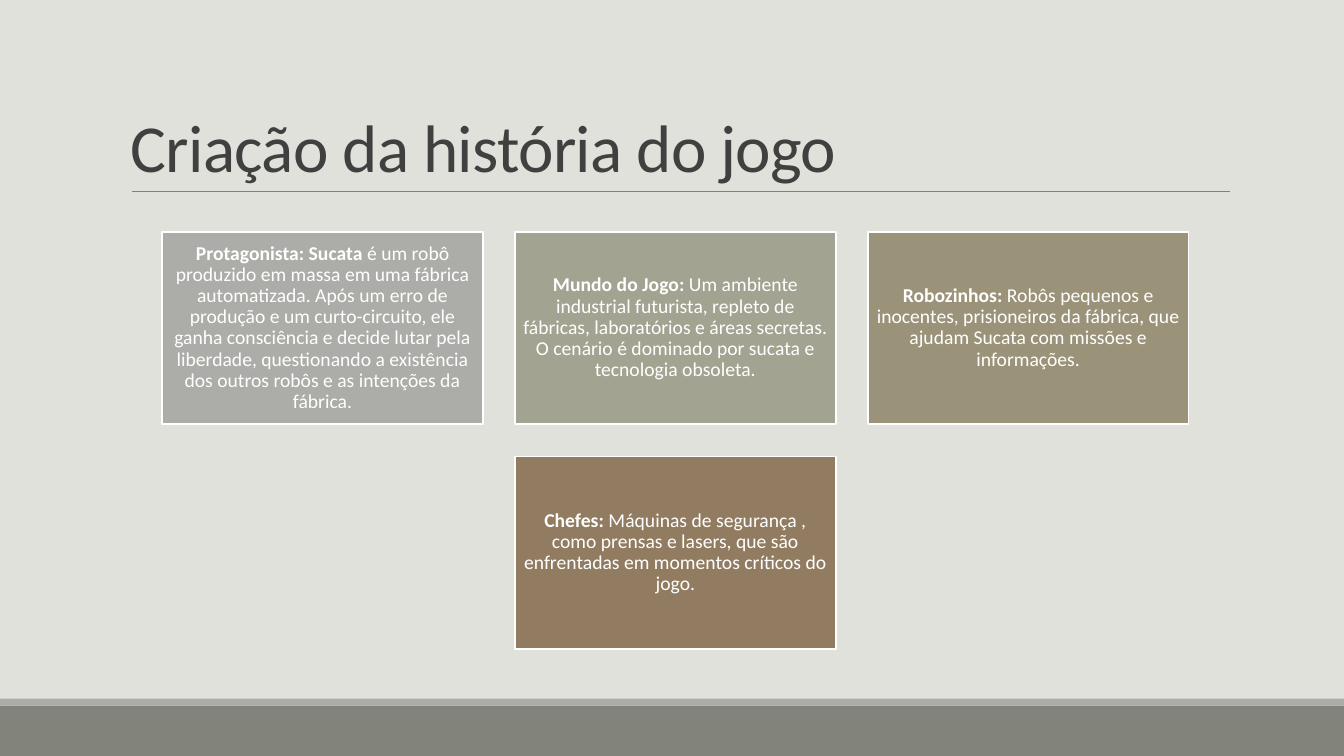
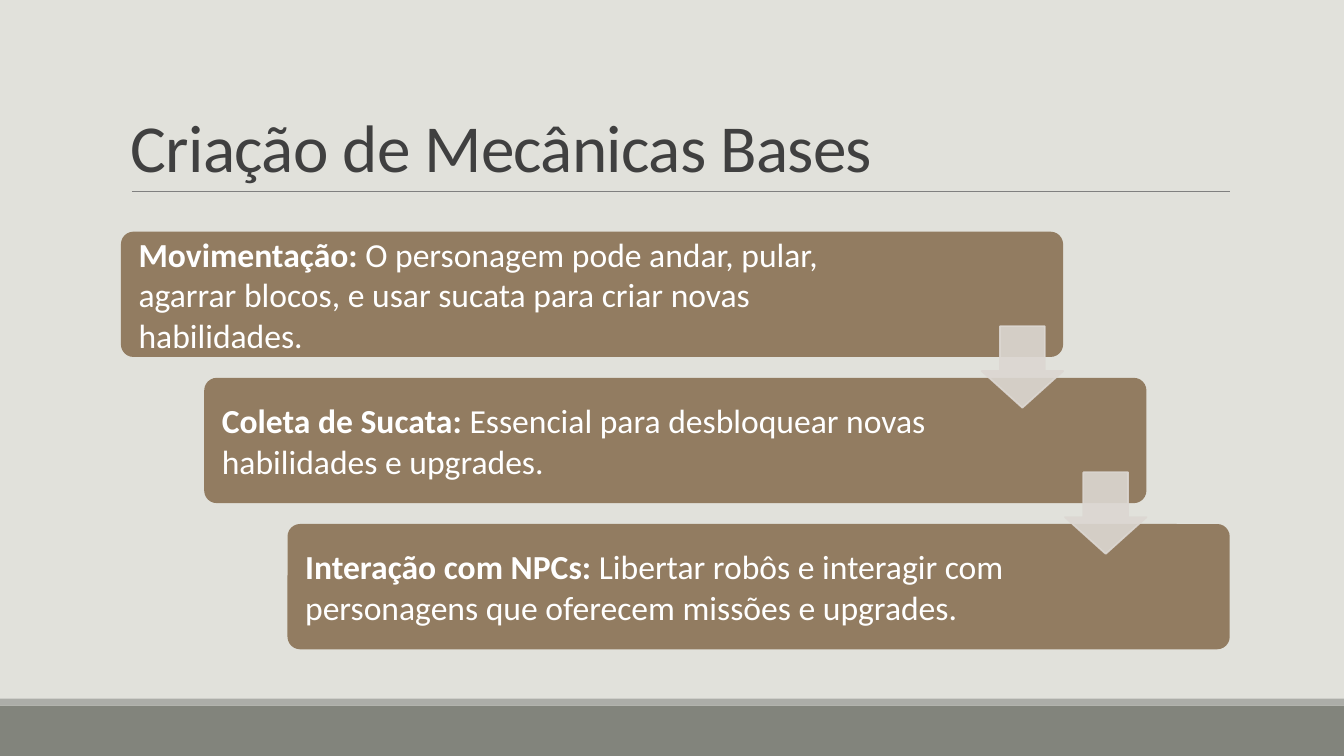
from lxml import etree
from pptx import Presentation
from pptx.dml.color import RGBColor
from pptx.enum.shapes import MSO_CONNECTOR, MSO_SHAPE
from pptx.enum.text import MSO_ANCHOR, PP_ALIGN
from pptx.oxml.ns import qn
from pptx.util import Pt

RECT, ROUND, DOWN = MSO_SHAPE.RECTANGLE, MSO_SHAPE.ROUNDED_RECTANGLE, MSO_SHAPE.DOWN_ARROW
STRAIGHT = MSO_CONNECTOR.STRAIGHT
MIDDLE, BOTTOM = MSO_ANCHOR.MIDDLE, MSO_ANCHOR.BOTTOM
LEFT, CENTER = PP_ALIGN.LEFT, PP_ALIGN.CENTER

PAPER = RGBColor(0xE1, 0xE1, 0xDB)
BAND = RGBColor(0x82, 0x84, 0x7C)
SILVER = RGBColor(0xAC, 0xAD, 0xA8)
SAGE = RGBColor(0xA3, 0xA3, 0x91)
KHAKI = RGBColor(0x9B, 0x93, 0x79)
BROWN = RGBColor(0x92, 0x7C, 0x61)
PALE = RGBColor(0xDC, 0xD7, 0xD2)
RULE = RGBColor(0x80, 0x80, 0x80)
INK = RGBColor(0x40, 0x40, 0x40)
WHITE = RGBColor(0xFF, 0xFF, 0xFF)

FONT = "Calibri"
WIDTH, HEIGHT = 960, 540
EDGE, SPAN = 86.4, 792  # content column
TOP = 165.5

CARDS = [
    (SILVER, "Protagonista: Sucata",
     " é um robô produzido em massa em uma fábrica automatizada. Após um erro de "
     "produção e um curto-circuito, ele ganha consciência e decide lutar pela "
     "liberdade, questionando a existência dos outros robôs e as intenções da fábrica."),
    (SAGE, "Mundo do Jogo:",
     " Um ambiente industrial futurista, repleto de fábricas, laboratórios e áreas "
     "secretas. O cenário é dominado por sucata e tecnologia obsoleta."),
    (KHAKI, "Robozinhos:",
     " Robôs pequenos e inocentes, prisioneiros da fábrica, que ajudam Sucata com "
     "missões e informações."),
    (BROWN, "Chefes:",
     " Máquinas de segurança , como prensas e lasers, que são enfrentadas em "
     "momentos críticos do jogo."),
]
STEPS = [
    ("Movimentação:",
     " O personagem pode andar, pular, agarrar blocos, e usar sucata para criar "
     "novas habilidades."),
    ("Coleta de Sucata:", " Essencial para desbloquear novas habilidades e upgrades."),
    ("Interação com NPCs:",
     " Libertar robôs e interagir com personagens que oferecem missões e upgrades."),
]


class Deck:
    def __init__(self):
        self.prs = Presentation()
        self.prs.slide_width, self.prs.slide_height = Pt(WIDTH), Pt(HEIGHT)
        self.slide = None

    def page(self, title):
        """Start a slide with its background, bands, rule and title."""
        self.slide = self.prs.slides.add_slide(self.prs.slide_layouts[6])
        fill = self.slide.background.fill
        fill.solid()
        fill.fore_color.rgb = PAPER
        self.shape(RECT, 0, 504, WIDTH, 36, BAND)
        self.shape(RECT, 0, 499, WIDTH, 5, SILVER)
        self.rule(94.2, 878.8, 136.8)
        self.title(title)

    def rule(self, left, right, y):
        line = self.slide.shapes.add_connector(STRAIGHT, Pt(left), Pt(y), Pt(right), Pt(y))
        line.line.color.rgb = RULE
        line.line.width = Pt(0.5)
        etree.SubElement(line._element.spPr, qn("a:effectLst"))

    def title(self, text):
        box = self.slide.shapes.add_textbox(Pt(EDGE), Pt(22.3), Pt(SPAN), Pt(114.5))
        para = self.frame(box, BOTTOM, (7.2, 3.6, 7.2, 3.6))
        para.line_spacing = 0.85
        run = self.run(para, text, 48, INK)
        run._r.get_or_add_rPr().set("spc", "-50")

    def shape(self, kind, x, y, w, h, color, edge=None):
        item = self.slide.shapes.add_shape(kind, Pt(x), Pt(y), Pt(w), Pt(h))
        item.shadow.inherit = False
        item.fill.solid()
        item.fill.fore_color.rgb = color
        if edge is None:
            item.line.fill.background()
        else:
            item.line.color.rgb = edge
            item.line.width = Pt(1.25)
        return item

    def frame(self, item, anchor, insets, align=LEFT):
        """Set up the text frame and return its first paragraph."""
        frame = item.text_frame
        frame.word_wrap = True
        frame.vertical_anchor = anchor
        (frame.margin_left, frame.margin_top,
         frame.margin_right, frame.margin_bottom) = map(Pt, insets)
        para = frame.paragraphs[0]
        para.alignment = align
        return para

    def run(self, para, text, size, color=WHITE, bold=False):
        run = para.add_run()
        run.text = text
        font = run.font
        font.name, font.size, font.bold = FONT, Pt(size), bold
        font.color.rgb = color
        return run

    def label(self, para, head, body, size):
        """Write a bold lead-in followed by plain text."""
        self.run(para, head, size, bold=True)
        self.run(para, body, size)

    def card(self, x, y, w, h, color, head, body):
        item = self.shape(RECT, x, y, w, h, color, WHITE)
        para = self.frame(item, MIDDLE, (4.2,) * 4, CENTER)
        para.line_spacing = 0.9
        self.label(para, head, body, 14)

    def step(self, x, y, w, h, head, body):
        item = self.shape(ROUND, x, y, w, h, BROWN)
        item.adjustments[0] = 0.1
        para = self.frame(item, MIDDLE, (10, 10, 100, 10))
        self.label(para, head, body, 24)

    def arrow(self, x, y, size):
        item = self.shape(DOWN, x, y, size, size, PALE, PALE)
        item.adjustments[0], item.adjustments[1] = 0.55, 0.45
        for color in item._element.spPr.iter(qn("a:srgbClr")):
            etree.SubElement(color, qn("a:alpha"), val="90000")


def story(deck):
    deck.page("Criação da história do jogo")
    cols, w, h, gap = 3, 229, 137.5, 23
    for first in range(0, len(CARDS), cols):
        row = CARDS[first:first + cols]
        left = EDGE + (SPAN - len(row) * (w + gap) + gap) / 2
        y = TOP + first // cols * (h + gap)
        for i, card in enumerate(row):
            deck.card(left + i * (w + gap), y, w, h, *card)


def rules(deck):
    deck.page("Criação de Mecânicas Bases")
    w, h, size, drop = 673, 89.5, 58.2, 67.5
    shift, pitch = (SPAN - w) / (len(STEPS) - 1), 104.4
    spots = [(EDGE + i * shift, TOP + i * pitch) for i in range(len(STEPS))]
    for (x, y), step in zip(spots, STEPS):
        deck.step(x, y, w, h, *step)
    for x, y in spots[:-1]:
        deck.arrow(x + w - size, y + drop, size)


def main():
    deck = Deck()
    story(deck)
    rules(deck)
    deck.prs.save("out.pptx")


if __name__ == "__main__":
    main()
